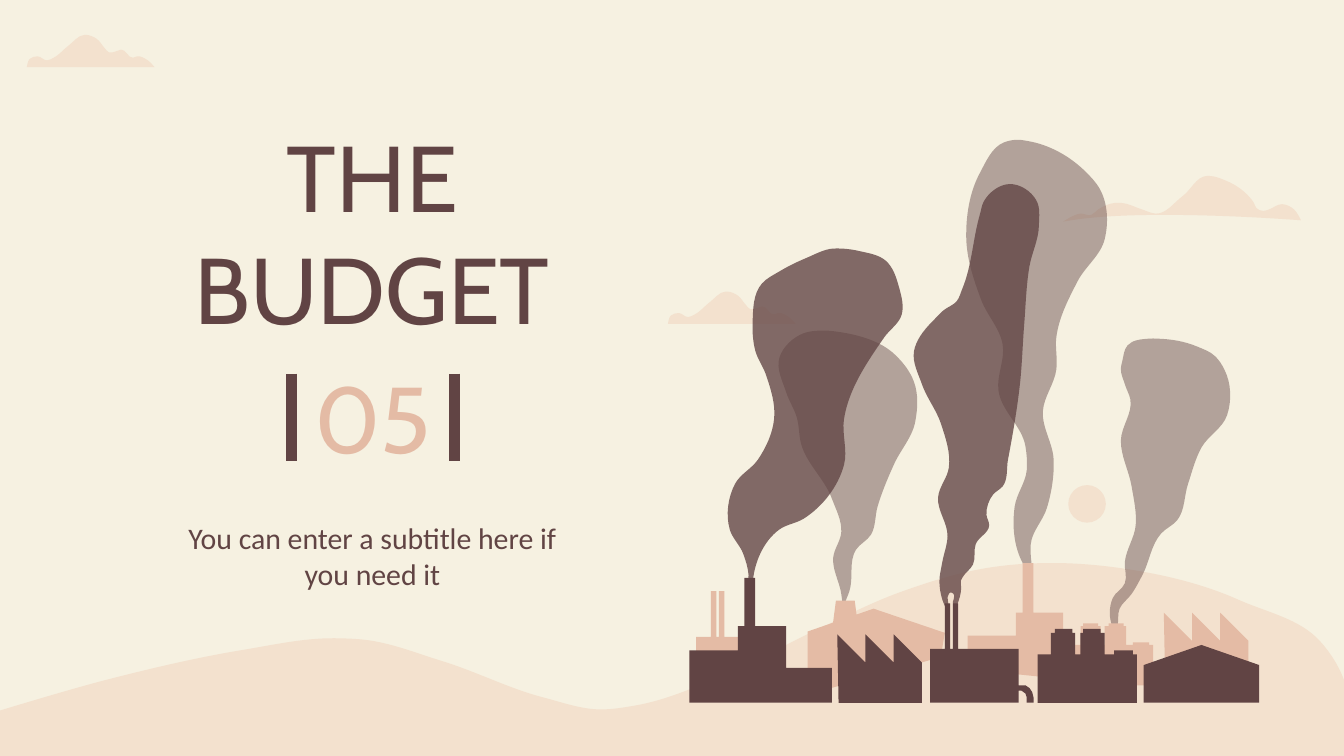
from math import hypot

from pptx import Presentation
from pptx.dml.color import RGBColor
from pptx.enum.shapes import MSO_CONNECTOR as Connector, MSO_SHAPE as Preset
from pptx.enum.text import MSO_ANCHOR as Anchor, PP_ALIGN as Align
from pptx.oxml.ns import qn
from pptx.oxml.xmlchemy import OxmlElement as Element
from pptx.util import Cm, Pt

BROWN, PINK, SAND, CREAM = "614444", "E4BBA5", "F3E1CE", "F6F1E1"
color = RGBColor.from_string
THOUSANDTH_INCH = Cm(2.54) / 1000

deck = Presentation()
deck.slide_width, deck.slide_height = Cm(25.4), Cm(14.29)
page = deck.slides.add_slide(deck.slide_layouts[6])
page.background.fill.solid()
page.background.fill.fore_color.rgb = color(CREAM)


def outline(route, fill, opacity=100, shift=(0, 0), smooth=False):
    pairs = [map(int, token.split(",")) for token in route.split()]
    points = [(10 * (x + shift[0]), 10 * (y + shift[1])) for x, y in pairs]
    stops = points[1:]
    if smooth:
        slopes = []
        for before, here, after in zip(points[-1:] + points, points, stops + points[:1]):
            ax, ay = here[0] - before[0], here[1] - before[1]
            bx, by = after[0] - here[0], after[1] - here[1]
            a, b = hypot(ax, ay), hypot(bx, by)
            dx, dy = ax / a**2 + bx / b**2, ay / a**2 + by / b**2
            corner = ax * bx + ay * by < 0.4 * a * b
            slopes.append((0, 0) if corner else (dx / hypot(dx, dy), dy / hypot(dx, dy)))
        stops = []
        for (x, y), (dx, dy), (u, v), (du, dv) in zip(
            points, slopes, points[1:] + points[:1], slopes[1:] + slopes[:1]
        ):
            reach = hypot(u - x, v - y) / 3
            stops += [(x + dx * reach, y + dy * reach), (u - du * reach, v - dv * reach), (u, v)]
    builder = page.shapes.build_freeform(*points[0], scale=THOUSANDTH_INCH)
    builder.add_line_segments(stops, close=True)
    shape = builder.convert_to_shape()
    shape.shadow.inherit = False
    shape.line.fill.background()
    shape.fill.solid()
    shape.fill.fore_color.rgb = color(fill)
    if opacity < 100:
        alpha = Element("a:alpha")
        alpha.set("val", str(opacity * 1000))
        shape._element.spPr.find(".//" + qn("a:srgbClr")).append(alpha)
    if smooth:
        steps = list(shape._element.iter(qn("a:lnTo")))
        for first, second, third in zip(steps[::3], steps[1::3], steps[2::3]):
            first.tag = qn("a:cubicBezTo")
            for step in (second, third):
                first.append(step[0])
                step.getparent().remove(step)


def write(text, *, at, font, size, fill, anchor):
    box = page.shapes.add_textbox(*map(Cm, at))
    frame = box.text_frame
    frame.word_wrap = True
    frame.vertical_anchor = anchor
    frame.margin_left = frame.margin_right = Cm(0.25)
    frame.margin_top = frame.margin_bottom = Cm(0.25)
    para = frame.paragraphs[0]
    para.alignment = Align.CENTER
    span = para.add_run()
    span.text = text
    span.font.name, span.font.size = font, Pt(size)
    span.font.color.rgb = color(fill)


wide_cloud = """900,131 911,134 926,143 933,151 935,155 940,157 944,156 954,152 963,156 968,164
797,164 791,165 804,159 812,160 817,156 830,151 834,151 850,156 860,159 880,146 898,131"""
hills = """783,419 835,423 916,444 923,447 982,477 1001,509 1002,558 984,622 562,608 536,608
486,646 346,611 11,639 -16,588 -17,534 79,506 179,484 249,475 270,476 329,492 404,519 447,528
473,525 542,501 605,470 669,441 739,422"""
small_cloud = """541,217 549,220 555,227 558,230 564,229 567,228 576,234 579,233 587,236 592,241
497,241 499,235 505,233 512,236 517,234 528,225 540,217"""

outline(wide_cloud, SAND, smooth=True)
outline(hills, SAND, smooth=True)
sun = page.shapes.add_shape(Preset.OVAL, Cm(20.19), Cm(9.17), Cm(0.71), Cm(0.71))
sun.shadow.inherit = False
sun.line.fill.background()
sun.fill.solid()
sun.fill.fore_color.rgb = color(SAND)
for shift in ((0, 0), (-477, -191)):
    outline(small_cloud, SAND, shift=shift, smooth=True)

for x in (8.59, 5.51):
    bar = page.shapes.add_connector(Connector.STRAIGHT, Cm(x), Cm(7.06), Cm(x), Cm(8.71))
    bar.line.width = Pt(6)
    bar.line.color.rgb = color(BROWN)
    bar._element.spPr.append(Element("a:effectLst"))

write("THE BUDGET", at=(2.03, 2.01, 10.01, 4.5), font="Cabin", size=50, fill=BROWN, anchor=Anchor.TOP)
write("05", at=(5.51, 6.5, 3.07, 2.74), font="Cabin", size=50, fill=PINK, anchor=Anchor.MIDDLE)
write("You can enter a subtitle here if you need it", at=(3.23, 9.55, 7.62, 1.88),
      font="Calibri", size=16, fill=BROWN, anchor=Anchor.BOTTOM)

tall_smoke = """756,104 747,106 729,129 719,177 730,223 746,256 743,291 763,332 764,350 755,377
761,419 764,424 766,424 767,422 767,413 767,405 779,378 784,342 776,306 786,275 786,251 802,209
822,178 818,140 808,128 765,105"""
right_smoke = """861,252 855,252 839,257 835,269 834,274 837,286 841,297 834,328 842,362 845,391
837,418 837,434 828,445 828,467 829,469 830,469 831,467 833,453 842,442 850,428 864,397 876,387
884,360 894,333 913,309 911,275 904,265 891,258"""
pale_left_smoke = """611,246 598,248 580,266 585,292 593,311 596,330 619,371 626,396 620,415
626,442 627,450 628,450 632,440 637,409 648,398 653,377 665,346 681,314 680,284 666,264 624,247"""
dark_left_smoke = """626,185 620,185 600,192 580,202 567,211 560,241 562,261 570,279 576,312
564,342 547,360 543,394 553,412 557,428 557,434 560,438 560,437 580,394 598,386 628,346 628,312
658,251 671,234 669,214 659,194 640,187"""

for smoke in (tall_smoke, right_smoke, pale_left_smoke):
    outline(smoke, BROWN, opacity=45, smooth=True)
outline(dark_left_smoke, BROWN, opacity=78, smooth=True)

pipe_plant = """703,449 703,483 692,483 692,523 758,523 758,514 760,514 763,516 764,519 764,523
769,523 769,519 768,515 766,512 763,510 758,510 758,483 713,483 713,449 709,449 709,483 707,483
707,449"""
sawtooth_mill = "644,472 644,493 623,472 624,523 686,523 686,493 665,472 665,493"
back_towers = """806,464 806,466 804,466 804,480 796,480 796,510 858,510 858,480 855,480 855,478
843,478 843,480 838,480 838,466 836,466 836,464 825,464 825,466 822,466 822,480 819,480 819,466
817,466 817,464"""
front_towers = """785,468 785,471 782,471 782,487 772,487 772,523 846,523 846,487 843,487 843,484
829,484 829,487 822,487 822,471 819,471 819,468 806,468 806,471 804,471 804,487 800,487 800,471
798,471 798,468"""
back_barn = "650,453 601,470 601,517 700,489 703,471"
front_barn = "894,480 851,495 851,523 937,523 937,495"
back_stack = """761,419 761,456 756,456 756,473 720,473 720,498 826,509 826,486 791,486 791,456
769,456 769,419"""
front_stack = """554,430 554,466 549,466 549,484 513,484 513,523 619,523 619,497 585,497 585,466
562,466 562,430"""
chimney = "622,447 619,470 639,470 636,447"

outline(pipe_plant, PINK, shift=(-174, -9))
outline(back_towers, PINK)
outline(back_barn, PINK)
outline(sawtooth_mill, PINK, shift=(243, -16))
outline(back_stack, PINK)
outline(chimney, PINK)
for building in (front_towers, front_barn, sawtooth_mill, front_stack):
    outline(building, BROWN)

middle_smoke = """751,137 732,150 729,160 716,215 712,224 702,231 694,239 693,240 680,262 686,286
700,315 706,348 698,370 705,399 701,419 699,433 703,451 704,453 705,454 706,453 706,452 706,442
707,441 708,441 710,443 709,448 710,453 711,453 713,448 715,440 715,435 715,432 716,430 724,420
726,405 736,391 734,383 739,368 746,362 750,342 759,285 762,242 766,198 773,168 771,149"""

outline(middle_smoke, BROWN, opacity=78, smooth=True)
outline(pipe_plant, BROWN)

deck.save("out.pptx")
